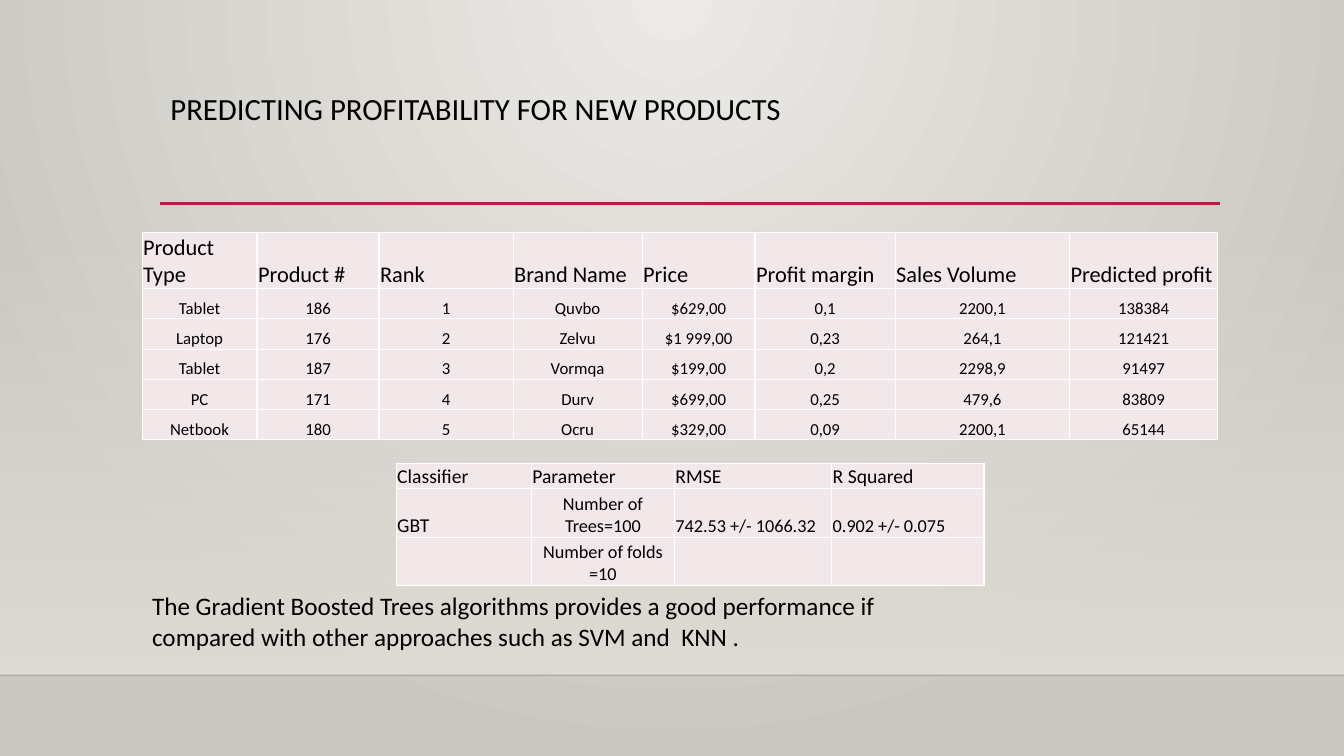
from lxml import etree
from pptx import Presentation
from pptx.dml.color import RGBColor as RGB
from pptx.enum.shapes import MSO_CONNECTOR as LINE, MSO_SHAPE as SHAPE
from pptx.enum.text import MSO_ANCHOR as ANCHOR, MSO_AUTO_SIZE as FIT, PP_ALIGN as ALIGN
from pptx.oxml import parse_xml
from pptx.oxml.ns import nsdecls, qn
from pptx.util import Inches, Pt

COLORS = {"light": "ECEAE7", "dark": "CAC7C1", "floor": "DFDBD5", "red": "B71E42",
          "edge": "000001", "text": "000000", "cell": "F3E8E9", "border": "FFFFFF"}


def style(par, size, align=ALIGN.LEFT):
    par.alignment = align
    for run in par.runs:
        run.font.name = "Calibri"
        run.font.size = Pt(size)
        run.font.color.rgb = RGB.from_string(COLORS["text"])


def add_grid(left, top, widths, heights, rows, sizes):
    """Add a table; sizes maps each cell's row and column to a text size and alignment."""
    frame = slide.shapes.add_table(len(rows), len(widths), Inches(left), Inches(top),
                                   Inches(sum(widths)), Inches(sum(heights)))
    table = frame.table
    table.first_row = table.horz_banding = False
    for col, width in zip(table.columns, widths):
        col.width = Inches(width)
    for r, (row, height) in enumerate(zip(rows, heights)):
        table.rows[r].height = Inches(height)
        for c, words in enumerate(row):
            cell = table.cell(r, c)
            cell.text = words
            cell.vertical_anchor = ANCHOR.BOTTOM
            cell.margin_left = cell.margin_right = cell.margin_top = Inches(0.01)
            cell.margin_bottom = 0
            style(cell.text_frame.paragraphs[0], *sizes(r, c))
            cell.fill.solid()
            cell.fill.fore_color.rgb = RGB.from_string(COLORS["cell"])
            props = cell._tc.get_or_add_tcPr()
            for i, side in enumerate("LRTB"):
                props.insert(i, parse_xml(
                    f'<a:ln{side} {nsdecls("a")} w="12700"><a:solidFill>'
                    f'<a:srgbClr val="{COLORS["border"]}"/></a:solidFill></a:ln{side}>'))


deck = Presentation()
deck.slide_width, deck.slide_height = Inches(13.33), Inches(7.5)
slide = deck.slides.add_slide(deck.slide_layouts[5])

# Background: radial glow from the top centre
glow = slide.background.fill
glow.gradient()
for stop, name in zip(glow.gradient_stops, ("light", "dark")):
    stop.color.rgb = RGB.from_string(COLORS[name])
grad = slide.element.find(".//" + qn("a:gradFill"))
grad.remove(grad.find(qn("a:lin")))
grad.append(parse_xml(f'<a:path {nsdecls("a")} path="circle">'
                      '<a:fillToRect l="43000" t="0" r="43000" b="100000"/></a:path>'))

# Band fading in above the floor line
band = slide.shapes.add_shape(SHAPE.RECTANGLE, 0, Inches(2.21), Inches(13.33), Inches(4.49))
band.shadow.inherit = False
band.line.fill.background()
band.fill.gradient()
band.fill.gradient_angle = 270
for stop in band.fill.gradient_stops:
    stop.color.rgb = RGB.from_string(COLORS["floor"])
first = band._element.find(".//" + qn("a:srgbClr"))
etree.SubElement(first, qn("a:alpha")).set("val", "0")

# Floor line and title rule
for x1, x2, y, name, weight, alpha in ((0, 13.33, 6.7, "edge", 1, 20),
                                       (1.59, 12.1, 2.02, "red", 2.5, 100)):
    rule = slide.shapes.add_connector(LINE.STRAIGHT, Inches(x1), Inches(y), Inches(x2), Inches(y))
    rule.line.color.rgb = RGB.from_string(COLORS[name])
    rule.line.width = Pt(weight)
    tint = rule._element.find(".//" + qn("a:srgbClr"))
    etree.SubElement(tint, qn("a:alpha")).set("val", str(alpha * 1000))
    etree.SubElement(rule._element.spPr, qn("a:effectLst"))

# Title
title = slide.shapes.title
title.left, title.top, title.width, title.height = map(Inches, (1.59, 0.88, 10.5, 1.15))
title.text_frame.text = "PREDICTING PROFITABILITY FOR NEW PRODUCTS"
title.text_frame.vertical_anchor = ANCHOR.TOP
head = title.text_frame.paragraphs[0]
head.line_spacing = 0.9
head.space_after = Pt(6)
style(head, 22)

# Classifier results
add_grid(3.93, 4.6, (1.34, 1.42, 1.56, 1.51), (0.25, 0.48, 0.48), (
    ("Classifier", "Parameter", "RMSE", "R Squared"),
    ("GBT", "Number of Trees=100", "742.53 +/- 1066.32", "0.902 +/- 0.075"),
    ("", "Number of folds =10", "", ""),
), lambda r, c: (14 if r == 0 or c == 0 else 13, ALIGN.CENTER if r and c == 1 else ALIGN.LEFT))

# Predicted profit by product
add_grid(1.41, 2.31, (1.14, 1.21, 1.33, 1.28, 1.12, 1.39, 1.73, 1.47), (0.55,) + (0.3,) * 5, (
    ("Product Type", "Product #", "Rank", "Brand Name", "Price", "Profit margin",
     "Sales Volume", "Predicted profit"),
    ("Tablet", "186", "1", "Quvbo", "$629,00", "0,1", "2200,1", "138384"),
    ("Laptop", "176", "2", "Zelvu", "$1 999,00", "0,23", "264,1", "121421"),
    ("Tablet", "187", "3", "Vormqa", "$199,00", "0,2", "2298,9", "91497"),
    ("PC", "171", "4", "Durv", "$699,00", "0,25", "479,6", "83809"),
    ("Netbook", "180", "5", "Ocru", "$329,00", "0,09", "2200,1", "65144"),
), lambda r, c: (12, ALIGN.CENTER) if r else (16, ALIGN.LEFT))

# Conclusion
note = slide.shapes.add_textbox(Inches(1.41), Inches(5.81), Inches(7.56), Inches(0.71)).text_frame
note.word_wrap = False
note.auto_size = FIT.SHAPE_TO_FIT_TEXT
note.text = ("The Gradient Boosted Trees algorithms provides a good performance if\n"
             "compared with other approaches such as SVM and  KNN .")
for par in note.paragraphs:
    style(par, 18)

deck.save("out.pptx")
